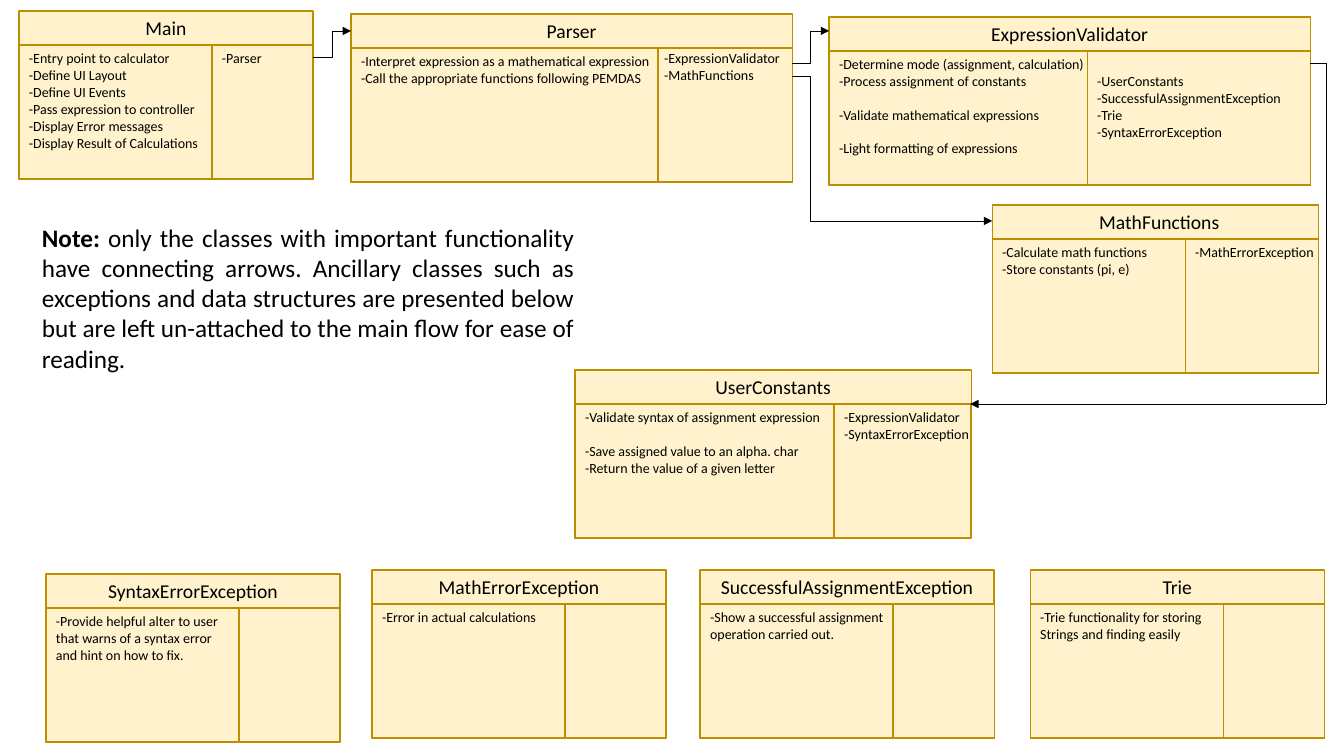
import dataclasses
import typing

import lxml.etree
import pptx
import pptx.dml.color
import pptx.enum.shapes
import pptx.enum.text
import pptx.oxml.ns
import pptx.util

SCALE = 914400 / 100.8
HEADER_HEIGHT, CARD_HEIGHT, LINE_HEIGHT = 34, 168, 17
FILL, BORDER, INK = "FFF2CC", "BD8E00", "000000"
ALIGN = pptx.enum.text.PP_ALIGN
CONNECTOR = pptx.enum.shapes.MSO_CONNECTOR


@dataclasses.dataclass
class Card:
    title: str
    left: int
    top: int
    duties: tuple[str, ...]
    helpers: tuple[str, ...] = ()
    width: int = 294
    split: int = 193
    spaced: tuple[int, ...] = ()
    title_extra: int = 0
    duty_extra: int = 0
    helper_extra: int = 0
    helper_shift: tuple[int, int] = (0, 0)


@dataclasses.dataclass
class Link:
    start: tuple[int, int]
    end: tuple[int, int]
    bend: typing.Optional[int] = None
    arrow: bool = True


CARDS = [
    Card("ExpressionValidator", 829, 17,
         ("-Determine mode (assignment, calculation)", "-Process assignment of constants",
          "-Validate mathematical expressions", "-Light formatting of expressions"),
         ("-UserConstants", "-SuccessfulAssignmentException", "-Trie", "-SyntaxErrorException"),
         width=481, split=258, spaced=(2, 3), duty_extra=24, helper_extra=7,
         helper_shift=(0, LINE_HEIGHT)),
    Card("MathFunctions", 992, 205,
         ("-Calculate math functions", "-Store constants (pi, e)"),
         ("-MathErrorException",), width=326, title_extra=8, helper_extra=8),
    Card("Trie", 1030, 570, ("-Trie functionality for storing Strings and finding easily",)),
    Card("UserConstants", 575, 370,
         ("-Validate syntax of assignment expression", "-Save assigned value to an alpha. char",
          "-Return the value of a given letter"),
         ("-ExpressionValidator", "-SyntaxErrorException"),
         width=396, split=259, spaced=(1,), helper_extra=45),
    Card("Main", 19, 11,
         ("-Entry point to calculator", "-Define UI Layout", "-Define UI Events",
          "-Pass expression to controller", "-Display Error messages",
          "-Display Result of Calculations"), ("-Parser",)),
    Card("SuccessfulAssignmentException", 700, 570,
         ("-Show a successful assignment operation carried out.",)),
    Card("SyntaxErrorException", 46, 574,
         ("-Provide helpful alter to user that warns of a syntax error and hint on how to fix.",)),
    Card("MathErrorException", 372, 570, ("-Error in actual calculations",)),
    Card("Parser", 351, 14,
         ("-Interpret expression as a mathematical expression",
          "-Call the appropriate functions following PEMDAS"),
         ("-ExpressionValidator", "-MathFunctions"),
         width=441, split=307, duty_extra=94, helper_extra=4, helper_shift=(-4, -3)),
]

LINKS = [
    Link((313, 57), (351, 31), bend=50000),
    Link((792, 63), (829, 31), bend=50000),
    Link((792, 76), (992, 221), bend=8900),
    Link((1310, 63), (1326, 63), arrow=False),
    Link((1326, 63), (1326, 404), arrow=False),
    Link((1326, 404), (970, 404)),
]


def emu(*pixels: int) -> list[int]:
    return [round(pixel * SCALE) for pixel in pixels]


def color(value: str) -> pptx.dml.color.RGBColor:
    return pptx.dml.color.RGBColor.from_string(value)


def assign(target: typing.Any, values: dict[str, typing.Any]) -> None:
    for name, value in values.items():
        setattr(target, name, value)


def add_span(para: typing.Any, text: str, size: int, bold: bool = False) -> None:
    span = para.add_run()
    span.text = text
    assign(span.font, {"name": "Calibri", "size": pptx.util.Pt(size), "bold": bold})
    span.font.color.rgb = color(INK)


def add_text_box(shapes: typing.Any, left: int, top: int, width: int, height: int) -> typing.Any:
    box = shapes.add_textbox(*emu(left, top, width, height))
    assign(box.text_frame, {"word_wrap": True,
                            "auto_size": pptx.enum.text.MSO_AUTO_SIZE.SHAPE_TO_FIT_TEXT})
    return box.text_frame


def add_panel(shapes: typing.Any, left: int, top: int, width: int, height: int) -> None:
    panel = shapes.add_shape(pptx.enum.shapes.MSO_SHAPE.RECTANGLE, *emu(left, top, width, height))
    panel.shadow.inherit = False
    panel.fill.solid()
    panel.fill.fore_color.rgb = color(FILL)
    panel.line.color.rgb = color(BORDER)
    panel.line.width = pptx.util.Pt(1)


def add_entries(shapes: typing.Any, left: int, top: int, width: int,
                entries: tuple[str, ...], spaced: tuple[int, ...] = ()) -> None:
    height = 10 + LINE_HEIGHT * (len(entries) + len(spaced))
    frame = add_text_box(shapes, left, top, width, height)
    for index, entry in enumerate(entries):
        para = frame.add_paragraph() if index else frame.paragraphs[0]
        if index in spaced:
            para.space_before = pptx.util.Pt(12)
        add_span(para, entry, 10)


def add_card(page: typing.Any, card: Card) -> None:
    shapes = page.shapes.add_group_shape().shapes
    body_top = card.top + HEADER_HEIGHT
    body_height = CARD_HEIGHT - HEADER_HEIGHT
    middle = card.left + card.split
    rest = card.width - card.split
    add_panel(shapes, card.left, card.top, card.width, CARD_HEIGHT)
    add_panel(shapes, card.left, body_top, card.split, body_height)
    add_panel(shapes, middle, body_top, rest, body_height)
    title = add_text_box(shapes, card.left, card.top, card.width + card.title_extra, HEADER_HEIGHT)
    title.paragraphs[0].alignment = ALIGN.CENTER
    add_span(title.paragraphs[0], card.title, 14)
    add_entries(shapes, card.left, body_top, card.split + card.duty_extra, card.duties, card.spaced)
    if card.helpers:
        across, down = card.helper_shift
        add_entries(shapes, middle + across, body_top + down, rest + card.helper_extra, card.helpers)


def add_child(parent: typing.Any, tag: str, **values: str) -> None:
    lxml.etree.SubElement(parent, pptx.oxml.ns.qn(tag), values)


def add_link(page: typing.Any, link: Link) -> None:
    kind = CONNECTOR.STRAIGHT if link.bend is None else CONNECTOR.ELBOW
    connector = page.shapes.add_connector(kind, *emu(*link.start, *link.end))
    connector.line.color.rgb = color(INK)
    connector.line.width = pptx.util.Pt(0.5)
    properties = connector._element.spPr
    if link.bend is not None:
        guides = properties.find(".//" + pptx.oxml.ns.qn("a:avLst"))
        add_child(guides, "a:gd", name="adj1", fmla=f"val {link.bend}")
    if link.arrow:
        add_child(properties.find(pptx.oxml.ns.qn("a:ln")), "a:tailEnd", type="triangle")
    add_child(properties, "a:effectLst")


def add_note(page: typing.Any) -> None:
    para = add_text_box(page.shapes, 32, 217, 552, 163).paragraphs[0]
    para.alignment = ALIGN.JUSTIFY
    add_span(para, "Note: ", 18, bold=True)
    add_span(para, "only the classes with important functionality have connecting arrows. "
                   "Ancillary classes such as exceptions and data structures are presented below "
                   "but are left un-attached to the main flow for ease of reading.", 18)


deck = pptx.Presentation()
assign(deck, {"slide_width": pptx.util.Inches(13.33), "slide_height": pptx.util.Inches(7.5)})
page = deck.slides.add_slide(deck.slide_layouts[6])
for card in CARDS:
    add_card(page, card)
for link in LINKS:
    add_link(page, link)
add_note(page)
deck.save("out.pptx")
